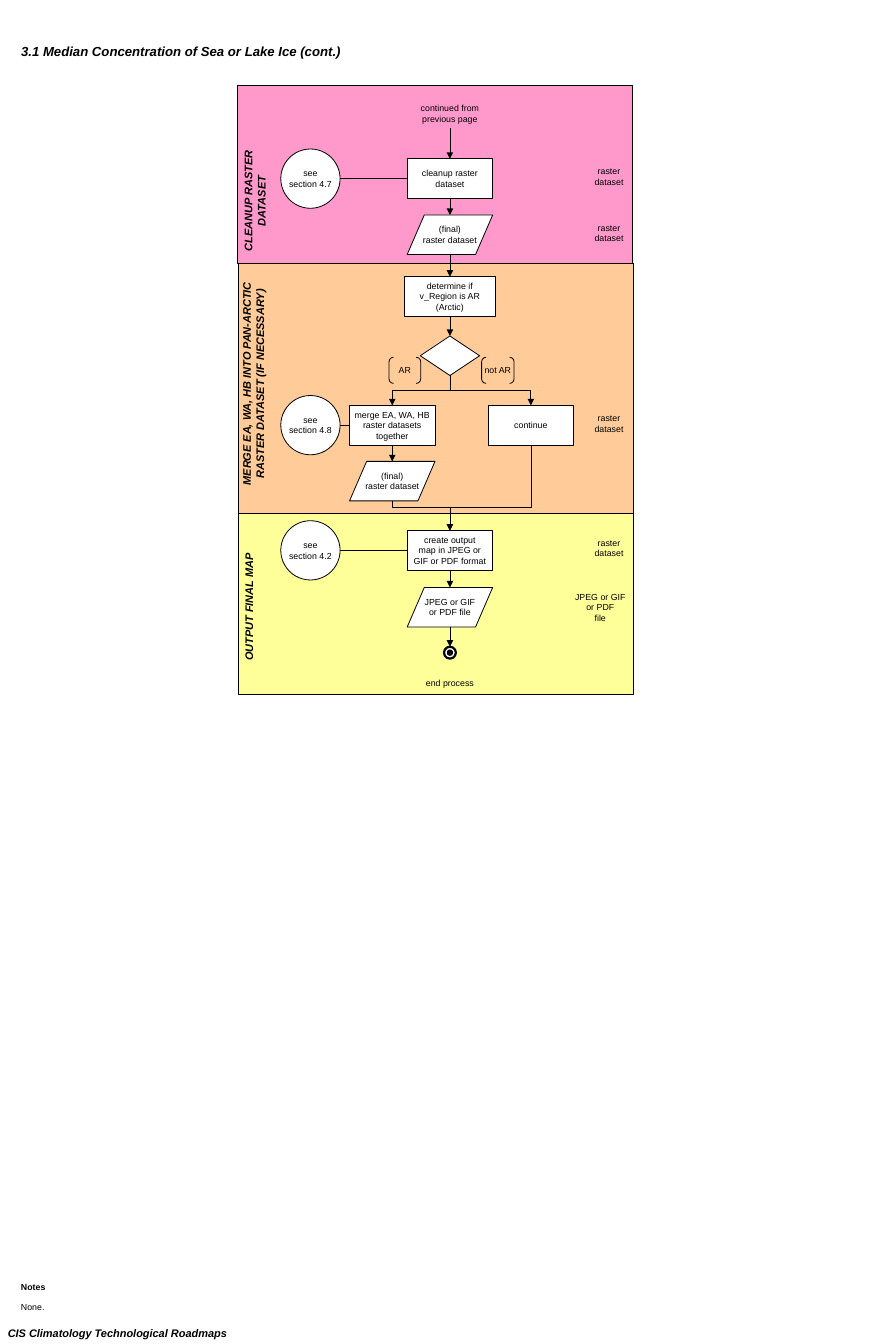
from lxml import etree
from pptx import Presentation
from pptx.dml.color import RGBColor
from pptx.enum import shapes, text
from pptx.oxml import ns
from pptx.util import Pt

BLACK = RGBColor(0x00, 0x00, 0x00)
WHITE = RGBColor(0xFF, 0xFF, 0xFF)
PINK = RGBColor(0xFF, 0x99, 0xCC)
ORANGE = RGBColor(0xFF, 0xCC, 0x99)
YELLOW = RGBColor(0xFF, 0xFF, 0x99)

K = shapes.MSO_SHAPE
STEP, DATA, CHOICE, REF = K.FLOWCHART_PROCESS, K.FLOWCHART_DATA, K.FLOWCHART_DECISION, K.OVAL
TOP, LEFT, BOTTOM, RIGHT = range(4)
MAIN, ARCTIC, OTHER, SIDE, OUT = 409.6, 357.1, 483.3, 282.6, 554.4
BOX, ROUND, LABEL = (77.8, 36), (54, 54), (60, 26.6)

TITLE = "3.1 Median Concentration of Sea or Lake Ice (cont.)"
FOOTER = "CIS Climatology Technological Roadmaps"
NOTES = [("Notes", True), ("None.", False)]

BANDS = [
    (YELLOW, (217, 464, 360, 168), "OUTPUT FINAL MAP", (226.4, 553, 150.5, 19.4)),
    (ORANGE, (217, 240, 360, 228), "MERGE EA, WA, HB INTO PAN-ARCTIC RASTER DATASET (IF NECESSARY)",
     (230.4, 349.5, 221.8, 31.7)),
    (PINK, (216, 78, 360, 162), "CLEANUP RASTER DATASET", (231.8, 183, 108, 31.7)),
]

NODES = {
    "start": (None, MAIN, 103.2, (68, 26.6), ["continued from", "previous page"]),
    "cleanup": (STEP, MAIN, 162.7, BOX, ["cleanup raster", "dataset"]),
    "cleaned": (DATA, MAIN, 213.8, BOX, ["(final)", "raster dataset"]),
    "determine": (STEP, MAIN, 270, (83.5, 36), ["determine if", "v_Region is AR", "(Arctic)"]),
    "choice": (CHOICE, MAIN, 324, (54, 36), []),
    "merge": (STEP, ARCTIC, 387.2, BOX, ["merge EA, WA, HB", "raster datasets", "together"]),
    "merged": (DATA, ARCTIC, 438.2, BOX, ["(final)", "raster dataset"]),
    "continue": (STEP, OTHER, 387.2, BOX, ["continue"]),
    "create": (STEP, MAIN, 501.2, BOX, ["create output", "map in JPEG or", "GIF or PDF format"]),
    "file": (DATA, MAIN, 553, BOX, ["JPEG or GIF", "or PDF file"]),
    "end": (REF, MAIN, 594.4, (10.8, 10.8), []),
    "see cleanup": (REF, SIDE, 162.7, ROUND, ["see", "section 4.7"]),
    "see merge": (REF, SIDE, 387.2, ROUND, ["see", "section 4.8"]),
    "see create": (REF, SIDE, 501.2, ROUND, ["see", "section 4.2"]),
    "end label": (None, MAIN, 621.7, (58, 16.6), ["end process"]),
    "file output": (None, 546.5, 553, (60, 36), ["JPEG or GIF", "or PDF", "file"]),
}
NODES.update({f"output {y}": (None, OUT, y, LABEL, ["raster", "dataset"])
              for y in (160.9, 212, 385.6, 499.3)})

BRACKETS = [(368.6, 337.3, (28.8, 23.8), ["AR"]), (453.2, 337.3, (29.5, 23.8), ["not AR"])]

FLOWS = [("start", "cleanup"), ("cleanup", "cleaned"), ("cleaned", "determine"),
         ("determine", "choice"), ("merge", "merged"), ("create", "file"), ("file", "end")]
REFERENCES = ["cleanup", "merge", "create"]
BENDS = [("choice", "merge", 0.5), ("choice", "continue", 0.5),
         ("continue", "create", 0.73), ("merged", "create", 0.23)]

prs = Presentation()
prs.slide_width, prs.slide_height = Pt(792), Pt(1224)
s = prs.slides.add_slide(prs.slide_layouts[5])


def write(p, line, size=8, bold=False, italic=False):
    r = p.add_run()
    r.text = line
    f = r.font
    f.name, f.size, f.bold, f.italic = "Arial", Pt(size), bold, italic
    f.color.rgb = BLACK


def frame(sp, wrap=False, anchor=text.MSO_ANCHOR.MIDDLE):
    tf = sp.text_frame
    tf.word_wrap = wrap
    tf.auto_size = text.MSO_AUTO_SIZE.NONE
    tf.vertical_anchor = anchor
    return tf


def fill_lines(sp, lines):
    tf = frame(sp)
    for i, line in enumerate(lines):
        p = tf.add_paragraph() if i else tf.paragraphs[0]
        p.alignment = text.PP_ALIGN.CENTER
        write(p, line)


def add_shape(kind, x, y, w, h, color=WHITE, width=0.75):
    sp = s.shapes.add_shape(kind, Pt(x), Pt(y), Pt(w), Pt(h))
    sp.shadow.inherit = False
    if color is None:
        sp.fill.background()
    else:
        sp.fill.solid()
        sp.fill.fore_color.rgb = color
    sp.line.color.rgb = BLACK
    sp.line.width = Pt(width)
    return sp


def add_text(x, y, w, h):
    return s.shapes.add_textbox(Pt(x), Pt(y), Pt(w), Pt(h))


def add_node(kind, cx, cy, size, lines, color=WHITE, width=0.75):
    w, h = size
    box = (cx - w / 2, cy - h / 2, w, h)
    sp = add_text(*box) if kind is None else add_shape(kind, *box, color, width)
    if lines:
        fill_lines(sp, lines)
    return sp


def site(name, side):
    _, cx, cy, (w, h), _ = NODES[name]
    return {TOP: (cx, cy - h / 2), LEFT: (cx - w / 2, cy),
            BOTTOM: (cx, cy + h / 2), RIGHT: (cx + w / 2, cy)}[side]


def add_line(kind, x1, y1, x2, y2, arrow=True):
    c = s.shapes.add_connector(kind, Pt(x1), Pt(y1), Pt(x2), Pt(y2))
    c.line.color.rgb = BLACK
    c.line.width = Pt(0.75)
    if arrow:
        etree.SubElement(c.line._get_or_add_ln(), ns.qn("a:tailEnd"), type="triangle")
    etree.SubElement(c._element.spPr, ns.qn("a:effectLst"))
    return c


def link(a, side_a, b, side_b, arrow=True):
    c = add_line(shapes.MSO_CONNECTOR.STRAIGHT, *site(a, side_a), *site(b, side_b), arrow)
    if NODES[a][0] in (STEP, CHOICE):
        c.begin_connect(drawn[a], side_a)
    if NODES[b][0] in (STEP, CHOICE):
        c.end_connect(drawn[b], side_b)


def bend(a, b, ratio):
    (x1, y1), (x2, y2) = site(a, BOTTOM), site(b, TOP)
    cx, cy = (x1 + x2) / 2, (y1 + y2) / 2
    run, drop = abs(x2 - x1) / 2, (y2 - y1) / 2
    c = add_line(shapes.MSO_CONNECTOR.ELBOW, cx - drop, cy - run, cx + drop, cy + run)
    xfrm = c._element.spPr.find(ns.qn("a:xfrm"))
    xfrm.set("rot", str((90 if x2 < x1 else 270) * 60000))
    if x2 > x1:
        xfrm.set("flipH", "1")
    guides = c._element.spPr.find(ns.qn("a:prstGeom")).find(ns.qn("a:avLst"))
    etree.SubElement(guides, ns.qn("a:gd"), name="adj1", fmla=f"val {round(ratio * 100000)}")


title = s.shapes.title
title.left, title.top, title.width, title.height = Pt(12), Pt(36), Pt(306), Pt(21.6)
p = frame(title, anchor=text.MSO_ANCHOR.TOP).paragraphs[0]
p.alignment = text.PP_ALIGN.LEFT
write(p, TITLE, 12, True, True)

for color, box, heading, (cx, cy, w, h) in BANDS:
    add_shape(K.RECTANGLE, *box, color)
    sp = add_text(cx - w / 2, cy - h / 2, w, h)
    sp.rotation = 270
    p = frame(sp, True).paragraphs[0]
    p.alignment = text.PP_ALIGN.CENTER
    write(p, heading, 10, True, True)

drawn = {name: add_node(*node, width=2 if name == "end" else 0.75)
         for name, node in NODES.items()}
add_node(REF, MAIN, NODES["end"][2], (5, 5), [], BLACK)

for bracket in BRACKETS:
    sp = add_node(K.DOUBLE_BRACKET, *bracket, color=None)
    sp.adjustments[0] = 0.17

for a, b in FLOWS:
    link(a, BOTTOM, b, TOP)
for name in REFERENCES:
    link("see " + name, RIGHT, name, LEFT, False)
for a, b, ratio in BENDS:
    bend(a, b, ratio)

tf = frame(add_text(12, 1163.5, 768, 36), True, text.MSO_ANCHOR.TOP)
for i, (line, bold) in enumerate(NOTES):
    p = tf.add_paragraph() if i else tf.paragraphs[0]
    p.space_before = Pt(9.2 * i)
    write(p, line, bold=bold)

write(frame(add_text(0, 1204.6, 213.8, 19.4)).paragraphs[0], FOOTER, 10, True, True)

prs.save("out.pptx")
